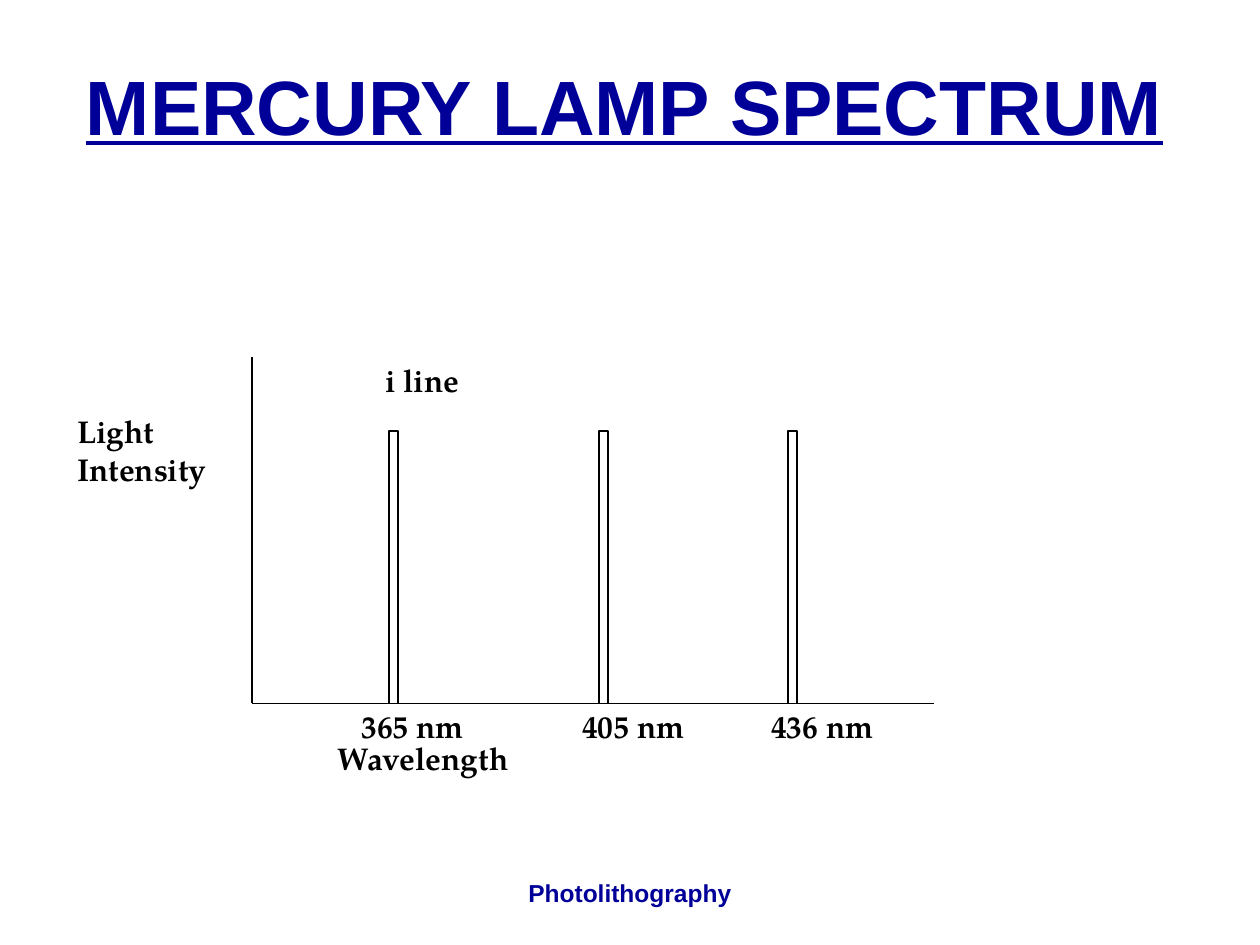
from lxml import etree
from pptx import Presentation
from pptx.dml.color import RGBColor
from pptx.enum.shapes import MSO_CONNECTOR, MSO_SHAPE
from pptx.enum.text import MSO_ANCHOR, MSO_AUTO_SIZE, PP_ALIGN
from pptx.oxml.ns import qn
from pptx.util import Pt

STRAIGHT = MSO_CONNECTOR.STRAIGHT
RECTANGLE = MSO_SHAPE.RECTANGLE
MIDDLE, TOP = MSO_ANCHOR.MIDDLE, MSO_ANCHOR.TOP
NO_FIT, GROW = MSO_AUTO_SIZE.NONE, MSO_AUTO_SIZE.SHAPE_TO_FIT_TEXT
CENTER, LEFT = PP_ALIGN.CENTER, PP_ALIGN.LEFT


def rgb(color):
    return RGBColor.from_string(color)


class SlideBuilder:
    heading_font = "Arial"
    label_font = "TeX Gyre Pagella"
    navy = "000099"
    black = "000000"
    white = "FFFFFF"

    def __init__(self, slide):
        self.slide = slide

    def add_run(self, p, text, font, size, color):
        r = p.add_run()
        r.text = text
        r.font.name = font
        r.font.size = Pt(size)
        r.font.bold = True
        r.font.color.rgb = rgb(color)
        return r

    def title(self, text, x, y, w, h):
        sp = self.slide.shapes.title
        sp.left, sp.top, sp.width, sp.height = Pt(x), Pt(y), Pt(w), Pt(h)
        tf = sp.text_frame
        tf.word_wrap = True
        tf.auto_size = NO_FIT
        tf.vertical_anchor = MIDDLE
        p = tf.paragraphs[0]
        p.alignment = CENTER
        p.line_spacing = 0.9
        r = self.add_run(p, text, self.heading_font, 44, self.navy)
        r.font.underline = True

    def text_box(self, lines, x, y, w, h, font, size, color, align, anchor, fit):
        sp = self.slide.shapes.add_textbox(Pt(x), Pt(y), Pt(w), Pt(h))
        tf = sp.text_frame
        tf.word_wrap = False
        tf.auto_size = fit
        tf.vertical_anchor = anchor
        for i, line in enumerate(lines):
            p = tf.add_paragraph() if i else tf.paragraphs[0]
            p.alignment = align
            self.add_run(p, line, font, size, color)

    def label(self, lines, x, y, w, h=29):
        self.text_box(lines, x, y, w, h, self.label_font, 18, self.black,
                      LEFT, TOP, GROW)

    def footer(self, text, x, y, w, h):
        self.text_box([text], x, y, w, h, self.heading_font, 14, self.navy,
                      CENTER, MIDDLE, NO_FIT)

    def line(self, x1, y1, x2, y2):
        sp = self.slide.shapes.add_connector(STRAIGHT, Pt(x1), Pt(y1), Pt(x2), Pt(y2))
        sp.line.color.rgb = rgb(self.black)
        sp.line.width = Pt(1)
        etree.SubElement(sp._element.spPr, qn("a:effectLst"))

    def bar(self, x, y, w, h):
        sp = self.slide.shapes.add_shape(RECTANGLE, Pt(x), Pt(y), Pt(w), Pt(h))
        sp.shadow.inherit = False
        sp.fill.solid()
        sp.fill.fore_color.rgb = rgb(self.white)
        sp.line.color.rgb = rgb(self.black)
        sp.line.width = Pt(1)


def main():
    prs = Presentation()
    prs.slide_width, prs.slide_height = Pt(720), Pt(540)
    s = SlideBuilder(prs.slides.add_slide(prs.slide_layouts[5]))

    s.title("MERCURY LAMP SPECTRUM", 36, 18, 642, 90)
    s.footer("Photolithography", 246, 492, 228, 36)

    axis_x, axis_y = 144, 402
    s.line(axis_x, 204, axis_x, axis_y)
    s.line(axis_x, axis_y, 534, axis_y)

    bar_top = 246.4
    peaks = [("365 nm", 222.4, 199.5), ("405 nm", 342.4, 325.5), ("436 nm", 450.4, 433.5)]
    for wavelength, bar_x, label_x in peaks:
        s.bar(bar_x, bar_top, 5.2, axis_y - bar_top)
        s.label([wavelength], label_x, 400.5, 79)

    s.label(["i line"], 213, 202.5, 60.5)
    s.label(["Light", "Intensity"], 37, 232, 96.5, 50.5)
    s.label(["Wavelength"], 186, 418.5, 124)

    prs.save("out.pptx")


if __name__ == "__main__":
    main()
